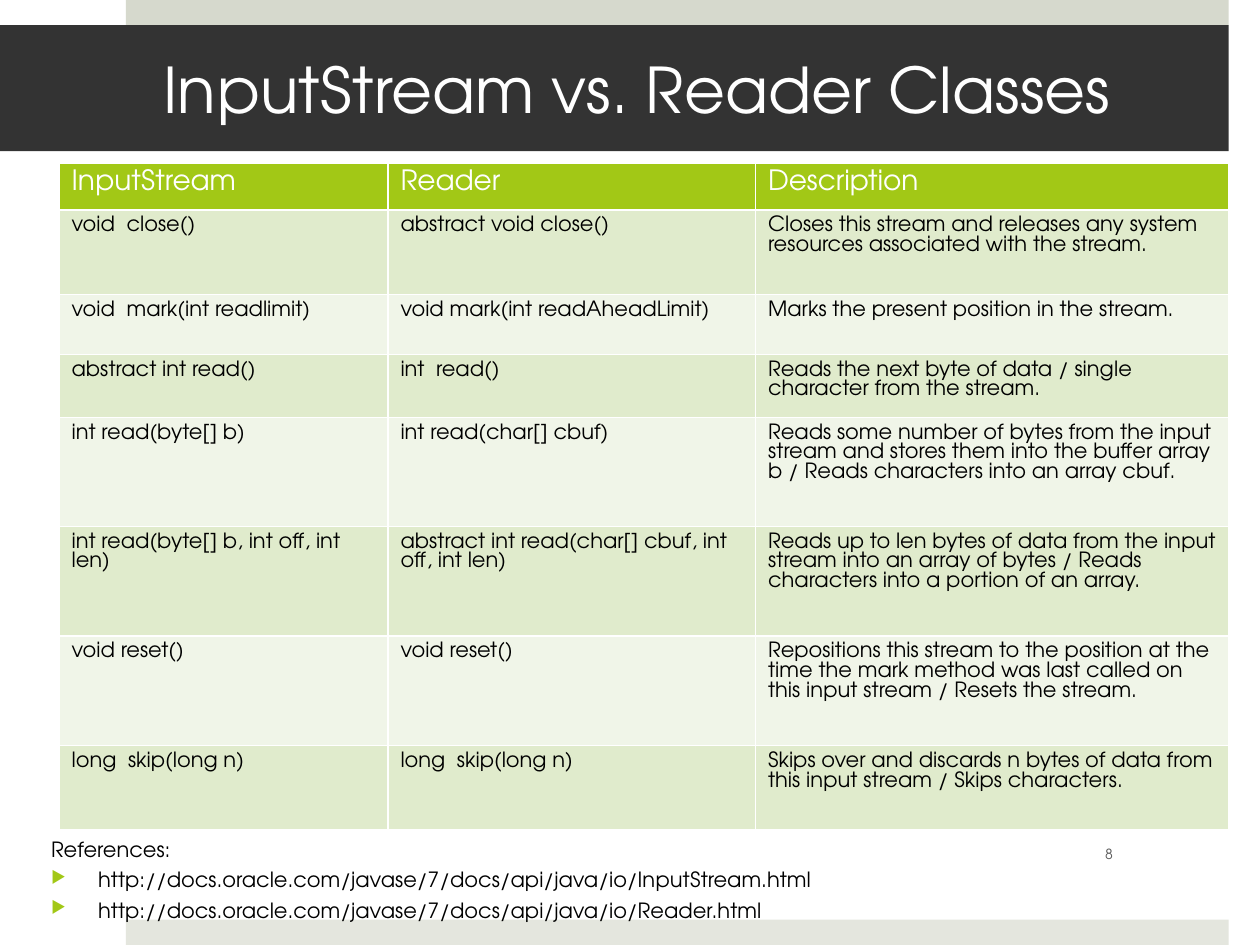
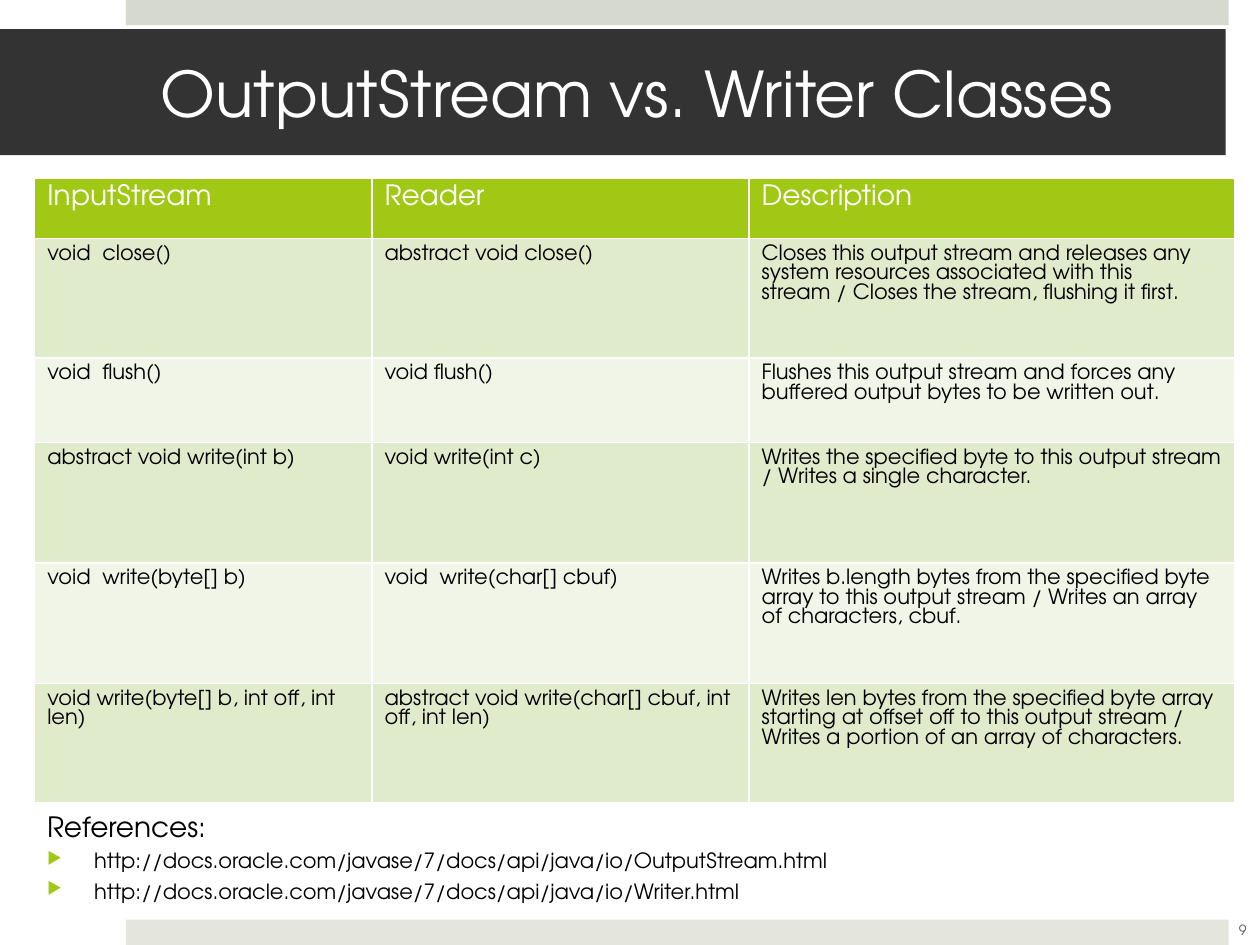
from lxml.etree import SubElement
from pptx import Presentation
from pptx.dml.color import RGBColor
from pptx.enum.shapes import MSO_SHAPE
from pptx.enum.text import MSO_ANCHOR, PP_ALIGN
from pptx.oxml.ns import qn
from pptx.util import Cm, Pt

FONT = "TeX Gyre Adventor"
WHITE, BLACK, GREY, DARK = "FFFFFF", "000000", "595959", "333333"
GREEN, STRIPES = "A2C816", ("F0F5E8", "E0EBCC")
BANDS = [(0, "D6D9CD"), (18.54, "E4E6DE")]
HEADER = ("InputStream", "Reader", "Description")
DOCS = "http://docs.oracle.com/javase/7/docs/api/java/io/"

# All positions and sizes are in centimetres.
SLIDES = [
    {
        "title": "InputStream vs. Reader Classes",
        "title_at": (0, 0.51),
        "number": "8",
        "number_at": (21.72, 16.7),
        "table_at": (1.19, 3.3),
        "columns": (6.63, 7.41, 9.55),
        "heights": (0.84, 1.7, 1.21, 1.22, 2.2, 2.21, 2.21, 1.7),
        "methods": [
            ("void  close()", "abstract void close()",
             "Closes this stream and releases any system resources "
             "associated with the stream."),
            ("void  mark(int readlimit)", "void mark(int readAheadLimit)",
             "Marks the present position in the stream."),
            ("abstract int read()", "int  read()",
             "Reads the next byte of data / single character from the stream."),
            ("int read(byte[] b)", "int read(char[] cbuf)",
             "Reads some number of bytes from the input stream and stores them "
             "into the buffer array b / Reads characters into an array cbuf."),
            ("int read(byte[] b, int off, int len)",
             "abstract int read(char[] cbuf, int off, int len)",
             "Reads up to len bytes of data from the input stream into an array "
             "of bytes / Reads characters into a portion of an array."),
            ("void reset()", "void reset()",
             "Repositions this stream to the position at the time the mark method "
             "was last called on this input stream / Resets the stream."),
            ("long  skip(long n)", "long  skip(long n)",
             "Skips over and discards n bytes of data from this input stream / "
             "Skips characters."),
        ],
        "references_at": (0.78, 16.74, 24, 1.88),
        "references_size": 12,
        "references": ("InputStream", "Reader"),
    },
    {
        "title": "OutputStream vs. Writer Classes",
        "title_at": (-0.06, 0.59),
        "number": "9",
        "number_at": (24.42, 18.24),
        "table_at": (0.7, 3.6),
        "columns": (6.8, 7.6, 9.8),
        "heights": (1.21, 2.41, 1.7, 2.43, 2.43, 2.4),
        "methods": [
            ("void  close()", "abstract void close()",
             "Closes this output stream and releases any system resources "
             "associated with this stream / Closes the stream, flushing it first."),
            ("void  flush()", "void flush()",
             "Flushes this output stream and forces any buffered output bytes "
             "to be written out."),
            ("abstract void write(int b)", "void write(int c)",
             "Writes the specified byte to this output stream / "
             "Writes a single character."),
            ("void  write(byte[] b)", "void  write(char[] cbuf)",
             "Writes b.length bytes from the specified byte array to this output "
             "stream / Writes an array of characters, cbuf."),
            ("void write(byte[] b, int off, int len)",
             "abstract void write(char[] cbuf, int off, int len)",
             "Writes len bytes from the specified byte array starting at offset "
             "off to this output stream / Writes a portion of an array of "
             "characters."),
        ],
        "references_at": (0.7, 16.19, 24, 2.34),
        "references_size": 16,
        "references": ("OutputStream", "Writer"),
    },
]


def rgb(color):
    return RGBColor.from_string(color)


def style(p, size, color):
    for r in p.runs:
        r.font.name, r.font.size, r.font.bold = FONT, Pt(size), False
        r.font.color.rgb = rgb(color)


def add_rect(s, at, color):
    sp = s.shapes.add_shape(MSO_SHAPE.RECTANGLE, *map(Cm, at))
    sp.shadow.inherit = False
    sp.fill.solid()
    sp.fill.fore_color.rgb = rgb(color)
    sp.line.fill.background()
    return sp


def add_title(s, text, at):
    tf = add_rect(s, (*at, 24.77, 2.54), DARK).text_frame
    tf.margin_left, tf.margin_right = Cm(3.3), Cm(0.76)
    tf.vertical_anchor = MSO_ANCHOR.MIDDLE
    tf.text = text
    p = tf.paragraphs[0]
    p.alignment = PP_ALIGN.LEFT
    style(p, 36, WHITE)


def add_text_box(s, at):
    tf = s.shapes.add_textbox(*map(Cm, at)).text_frame
    tf.word_wrap = True
    return tf


def add_number(s, text, at):
    tf = add_text_box(s, (*at, 1.27, 1.02))
    tf.vertical_anchor = MSO_ANCHOR.MIDDLE
    tf.text = text
    p = tf.paragraphs[0]
    p.alignment = PP_ALIGN.CENTER
    style(p, 8, GREY)


def add_borders(cell):
    tc_pr = cell._tc.get_or_add_tcPr()
    for i, side in enumerate(("lnL", "lnR", "lnT", "lnB")):
        ln = tc_pr.makeelement(qn(f"a:{side}"), {"w": str(Pt(1))})
        fill = SubElement(ln, qn("a:solidFill"))
        SubElement(fill, qn("a:srgbClr"), val=WHITE)
        tc_pr.insert(i, ln)


def add_method_table(s, at, columns, heights, methods):
    rows = [HEADER, *methods]
    size = sum(columns), sum(heights)
    table = s.shapes.add_table(len(rows), len(columns), *map(Cm, (*at, *size))).table
    for column, width in zip(table.columns, columns):
        column.width = Cm(width)
    for i, (row, height, texts) in enumerate(zip(table.rows, heights, rows)):
        row.height = Cm(height)
        for cell, text in zip(row.cells, texts):
            cell.text = text
            cell.fill.solid()
            cell.fill.fore_color.rgb = rgb(STRIPES[i % 2] if i else GREEN)
            add_borders(cell)
            p = cell.text_frame.paragraphs[0]
            style(p, 12 if i else 16, BLACK if i else WHITE)


def add_bullet(p):
    p_pr = p._p.get_or_add_pPr()
    p_pr.set("marL", str(Cm(0.95)))
    p_pr.set("indent", str(Cm(-0.95)))
    color = SubElement(p_pr, qn("a:buClr"))
    SubElement(color, qn("a:srgbClr"), val=GREEN)
    SubElement(p_pr, qn("a:buSzPct"), val="80000")
    SubElement(p_pr, qn("a:buChar"), char="▶")


def add_references(s, at, size, classes):
    tf = add_text_box(s, at)
    tf.text = "References:"
    style(tf.paragraphs[0], size, BLACK)
    for name in classes:
        p = tf.add_paragraph()
        p.text = f"{DOCS}{name}.html"
        p.space_before = Pt(2.9)
        add_bullet(p)
        style(p, 12, BLACK)


def main():
    prs = Presentation()
    prs.slide_width, prs.slide_height = Cm(25.4), Cm(19.05)
    for content in SLIDES:
        s = prs.slides.add_slide(prs.slide_layouts[6])
        for top, color in BANDS:
            add_rect(s, (2.54, top, 22.23, 0.51), color)
        add_title(s, content["title"], content["title_at"])
        add_number(s, content["number"], content["number_at"])
        add_method_table(s, content["table_at"], content["columns"],
                         content["heights"], content["methods"])
        add_references(s, content["references_at"], content["references_size"],
                       content["references"])
    prs.save("out.pptx")


if __name__ == "__main__":
    main()
